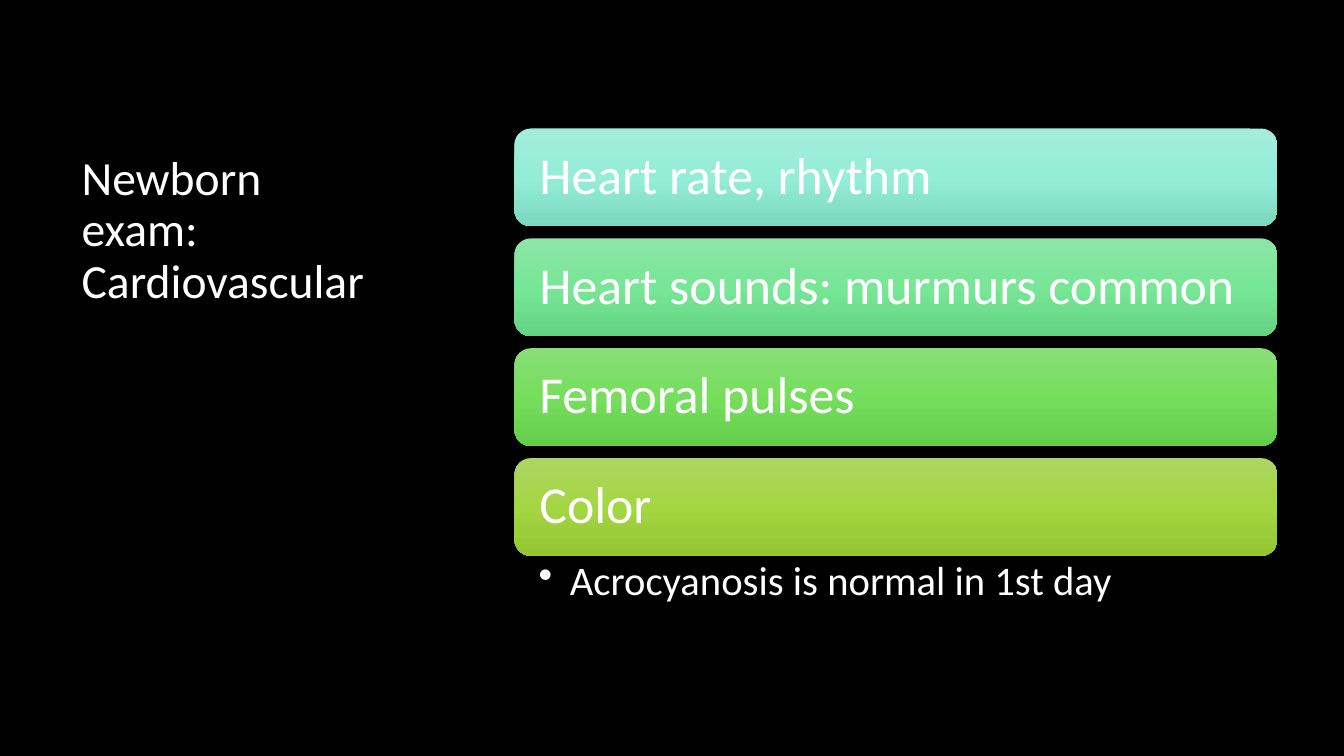
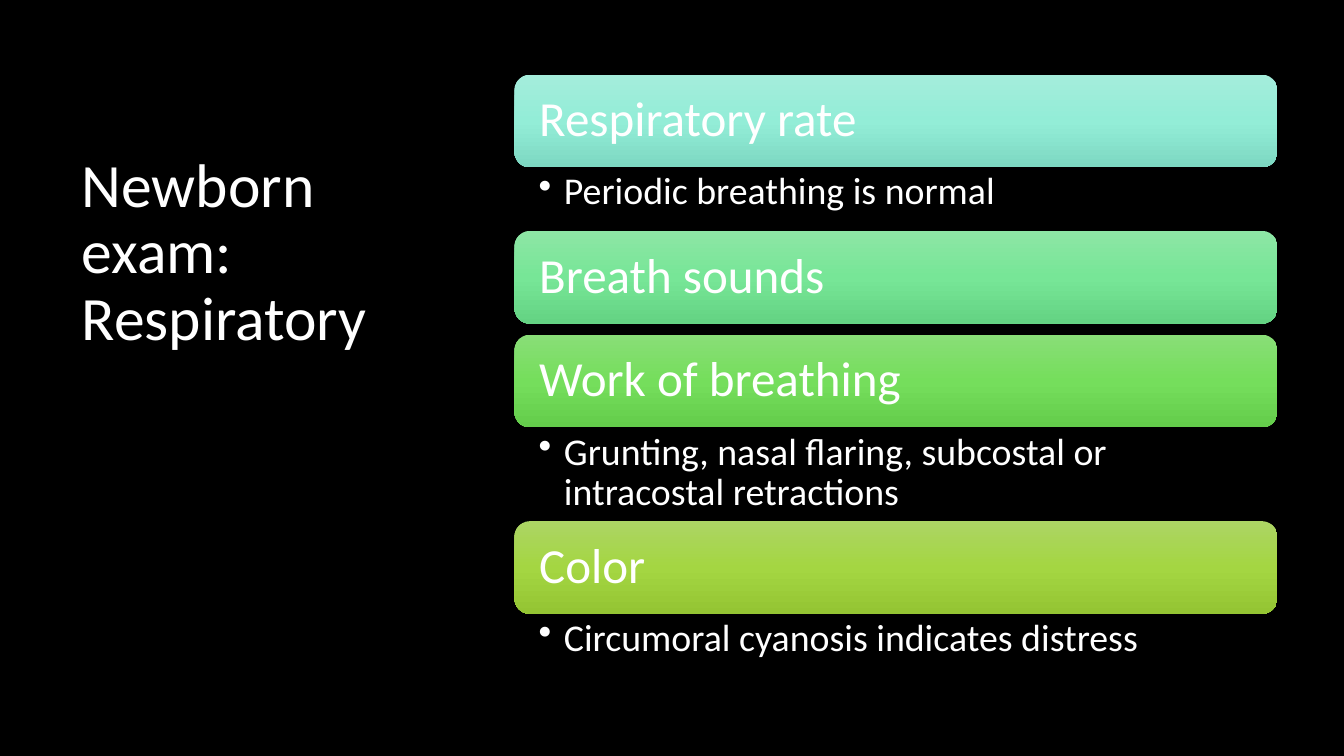
from collections import namedtuple
from copy import deepcopy

from lxml import etree
from pptx import Presentation
from pptx.dml.color import RGBColor
from pptx.enum.shapes import MSO_SHAPE
from pptx.enum.text import MSO_ANCHOR, MSO_AUTO_SIZE, PP_ALIGN
from pptx.oxml.ns import qn
from pptx.util import Inches, Pt

ROUNDED = MSO_SHAPE.ROUNDED_RECTANGLE
TOP, MIDDLE = MSO_ANCHOR.TOP, MSO_ANCHOR.MIDDLE
LEFT = PP_ALIGN.LEFT
NO_AUTOFIT = MSO_AUTO_SIZE.NONE

Box = namedtuple("Box", "left top width height")
SLIDE = Box(0, 0, 13.33, 7.5)
TITLE_PANEL = Box(0, 0, SLIDE.width / 3, SLIDE.height)
FINDINGS_PANEL = Box(TITLE_PANEL.width, 0, SLIDE.width * 2 / 3, SLIDE.height)
TITLE_INSET = Box(0.71, 1.48, 3.1, 4.87)
FINDINGS_MARGIN = 0.66
FINDINGS_RISE = 0.02

COLORS = {
    "background": "000000",
    "text": "FFFFFF",
    "aqua_light": "A4EDDB", "aqua": "93EDD7", "aqua_dark": "7DD8C2",
    "mint_light": "8DE6A5", "mint": "77E697", "mint_dark": "64D383",
    "green_light": "89DE77", "green": "75DE5C", "green_dark": "64CD4B",
    "lime_light": "ACD564", "lime": "A4D642", "lime_dark": "94C533",
}
BAR_HUES = ("aqua", "mint", "green", "lime")
SHADES = (("_light", 0), ("", 0.5), ("_dark", 1))

EXAMS = [
    {
        "title": "Newborn exam: Cardiovascular",
        "title_size": 34, "bar_size": 37, "note_size": 29,
        "bar_height": 0.97, "gap": 0.12, "indent": 0.31,
        "findings": [
            ("Heart rate, rhythm", None, 0),
            ("Heart sounds: murmurs common", None, 0),
            ("Femoral pulses", None, 0),
            ("Color", "Acrocyanosis is normal in 1st day", 0.67),
        ],
    },
    {
        "title": "Newborn exam: Respiratory",
        "title_size": 44, "bar_size": 35, "note_size": 27,
        "bar_height": 0.92, "gap": 0.11, "indent": 0.25,
        "findings": [
            ("Respiratory rate", "Periodic breathing is normal", 0.63),
            ("Breath sounds", None, 0),
            ("Work of breathing",
             "Grunting, nasal flaring, subcostal or intracostal retractions", 0.93),
            ("Color", "Circumoral cyanosis indicates distress", 0.63),
        ],
    },
]


def color(name):
    return RGBColor.from_string(COLORS[name])


def set_all(target, values):
    for name, value in values.items():
        setattr(target, name, value)


def emu(box):
    return [Inches(length) for length in box]


def write(frame, text, size, anchor, insets):
    sides = ("margin_left", "margin_top", "margin_right", "margin_bottom")
    set_all(frame, {"word_wrap": True, "auto_size": NO_AUTOFIT,
                    "vertical_anchor": anchor})
    set_all(frame, dict(zip(sides, map(Inches, insets))))
    paragraph = frame.paragraphs[0]
    set_all(paragraph, {"alignment": LEFT, "line_spacing": 0.9})
    run = paragraph.add_run()
    run.text = text
    set_all(run.font, {"name": "Calibri", "size": Pt(size), "bold": False})
    run.font.color.rgb = color("text")
    return paragraph


def shade(bar, hue):
    bar.fill.gradient()
    bar.fill.gradient_angle = 270
    stop_list = bar.element.spPr.find(".//" + qn("a:gsLst"))
    stop_list.append(deepcopy(stop_list[-1]))
    for stop, (suffix, position) in zip(bar.fill.gradient_stops, SHADES):
        stop.position = position
        stop.color.rgb = color(hue + suffix)


def add_bar(slide, box, text, size, hue):
    bar = slide.shapes.add_shape(ROUNDED, *emu(box))
    bar.shadow.inherit = False
    bar.line.fill.background()
    shade(bar, hue)
    write(bar.text_frame, text, size, MIDDLE, (0.15 + 0.05, 0.15, 0.15, 0.15))


def add_note(slide, box, text, size, indent):
    note = slide.shapes.add_textbox(*emu(box))
    paragraph = write(note.text_frame, text, size, TOP, (0.24, 0.05, 0.28, 0.05))
    properties = paragraph._p.get_or_add_pPr()
    properties.set("marL", str(Inches(indent)))
    properties.set("indent", str(-Inches(indent)))
    etree.SubElement(properties, qn("a:buChar"), char="•")


def place_title(slide, panel, exam):
    box = TITLE_INSET._replace(left=panel.left + TITLE_INSET.left,
                               top=panel.top + TITLE_INSET.top)
    title = slide.shapes.title
    set_all(title, dict(zip(Box._fields, emu(box))))
    write(title.text_frame, exam["title"], exam["title_size"], TOP,
          (0.1, 0.05, 0.1, 0.05))


def place_findings(slide, panel, exam):
    bar_height = exam["bar_height"]
    heights = [bar_height + (note_height or exam["gap"])
               for _, _, note_height in exam["findings"]]
    top = panel.top + (panel.height - sum(heights)) / 2 - FINDINGS_RISE
    left = panel.left + FINDINGS_MARGIN
    width = panel.width - 2 * FINDINGS_MARGIN
    for (heading, note, note_height), height, hue in zip(
            exam["findings"], heights, BAR_HUES):
        add_bar(slide, Box(left, top, width, bar_height), heading,
                exam["bar_size"], hue)
        if note:
            add_note(slide, Box(left, top + bar_height, width, note_height),
                     note, exam["note_size"], exam["indent"])
        top += height


def main():
    deck = Presentation()
    deck.slide_width, deck.slide_height = Inches(SLIDE.width), Inches(SLIDE.height)
    backdrop = deck.slide_master.background.fill
    backdrop.solid()
    backdrop.fore_color.rgb = color("background")
    title_only = deck.slide_layouts.get_by_name("Title Only")
    for exam in EXAMS:
        slide = deck.slides.add_slide(title_only)
        place_title(slide, TITLE_PANEL, exam)
        place_findings(slide, FINDINGS_PANEL, exam)
    deck.save("out.pptx")


if __name__ == "__main__":
    main()
